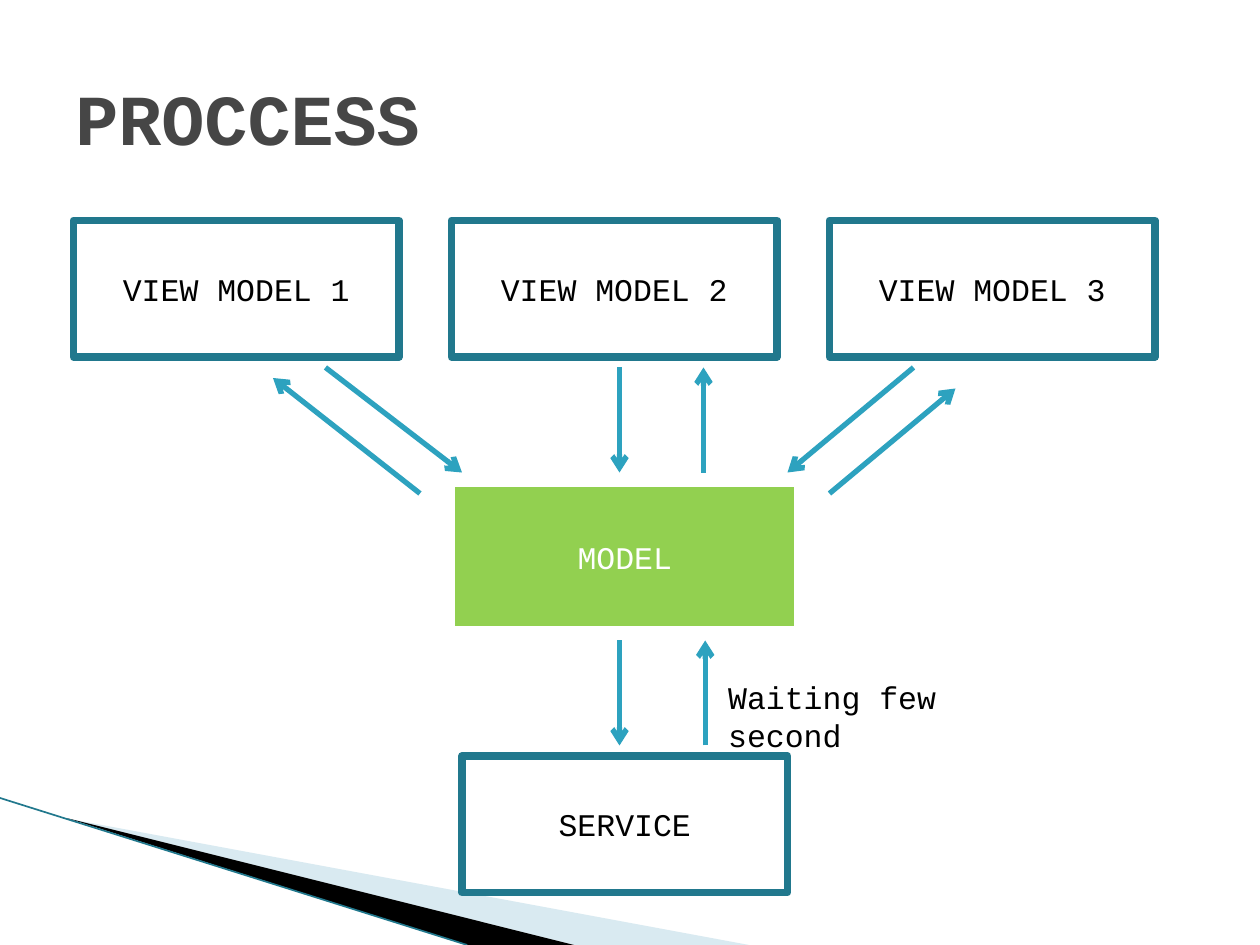
from lxml import etree
from pptx import Presentation
from pptx.dml.color import RGBColor
from pptx.enum.shapes import MSO_CONNECTOR, MSO_SHAPE
from pptx.enum.text import MSO_ANCHOR, PP_ALIGN
from pptx.oxml.ns import qn
from pptx.util import Pt

RECT = MSO_SHAPE.RECTANGLE
STRAIGHT = MSO_CONNECTOR.STRAIGHT
MIDDLE = MSO_ANCHOR.MIDDLE
CENTER, LEFT = PP_ALIGN.CENTER, PP_ALIGN.LEFT
WHITE = RGBColor(0xFF, 0xFF, 0xFF)
BLACK = RGBColor(0x00, 0x00, 0x00)
GREY = RGBColor(0x46, 0x46, 0x46)
GREEN = RGBColor(0x92, 0xD0, 0x50)
TEAL = RGBColor(0x21, 0x78, 0x8D)
CYAN = RGBColor(0x2D, 0xA2, 0xBF)
PALE = RGBColor(0xA0, 0xCB, 0xDC)
FONT = "Courier New"

prs = Presentation()
prs.slide_width, prs.slide_height = Pt(720), Pt(540)
s = prs.slides.add_slide(prs.slide_layouts[6])


def add_text(sp, text, size, color, align, bold=False):
    tf = sp.text_frame
    tf.word_wrap = True
    p = tf.paragraphs[0]
    p.alignment = align
    r = p.add_run()
    r.text = text
    r.font.name, r.font.size, r.font.bold = FONT, Pt(size), bold
    r.font.color.rgb = color


def add_line(x1, y1, x2, y2, color, width):
    c = s.shapes.add_connector(STRAIGHT, Pt(x1), Pt(y1), Pt(x2), Pt(y2))
    c.line.color.rgb = color
    c.line.width = Pt(width)
    etree.SubElement(c._element.spPr, qn("a:effectLst"))
    return c


wedges = [
    (PALE, 40, [(39.6, 468), (428, 540), (328, 540)]),
    (BLACK, 100, [(38, 467.5), (328, 540), (267, 540)]),
]
for color, alpha, points in wedges:
    fb = s.shapes.build_freeform(Pt(points[0][0]), Pt(points[0][1]))
    fb.add_line_segments([(Pt(x), Pt(y)) for x, y in points[1:]])
    sp = fb.convert_to_shape()
    sp.shadow.inherit = False
    sp.fill.solid()
    sp.fill.fore_color.rgb = color
    sp.line.fill.background()
    if alpha < 100:
        clr = sp._element.spPr.find(qn("a:solidFill"))[0]
        etree.SubElement(clr, qn("a:alpha")).set("val", str(alpha * 1000))
add_line(0, 456, 267, 540, TEAL, 0.95)

title = s.shapes.add_textbox(Pt(36), Pt(21.6), Pt(648), Pt(90))
title.text_frame.vertical_anchor = MIDDLE
add_text(title, "PROCCESS", 41, GREY, LEFT, True)

boxes = [("MODEL", 258, 276, 198, 84, GREEN, WHITE, WHITE)]
boxes += [(f"VIEW MODEL {i + 1}", 42 + 216 * i, 126, 186, 78, WHITE, TEAL, BLACK)
          for i in range(3)]
boxes.append(("SERVICE", 264, 432, 186, 78, WHITE, TEAL, BLACK))
for text, x, y, w, h, fill, line, color in boxes:
    sp = s.shapes.add_shape(RECT, Pt(x), Pt(y), Pt(w), Pt(h))
    sp.shadow.inherit = False
    sp.fill.solid()
    sp.fill.fore_color.rgb = fill
    sp.line.color.rgb = line
    sp.line.width = Pt(4.33)
    sp.text_frame.vertical_anchor = MIDDLE
    add_text(sp, text, 18, color, CENTER)

label = s.shapes.add_textbox(Pt(409), Pt(384), Pt(185), Pt(29))
add_text(label, "Waiting few second", 18, BLACK, LEFT)

arrows = [
    (186, 210, 264, 270),
    (354, 210, 354, 270),
    (522, 210, 450, 270),
    (354, 366, 354, 426),
    (403, 426, 403, 366),
    (402, 270, 402, 210),
    (474, 282, 546, 222),
    (240, 282, 156, 216),
]
for ends in arrows:
    c = add_line(*ends, CYAN, 3)
    etree.SubElement(c.line._get_or_add_ln(), qn("a:tailEnd")).set("type", "arrow")

prs.save("out.pptx")
